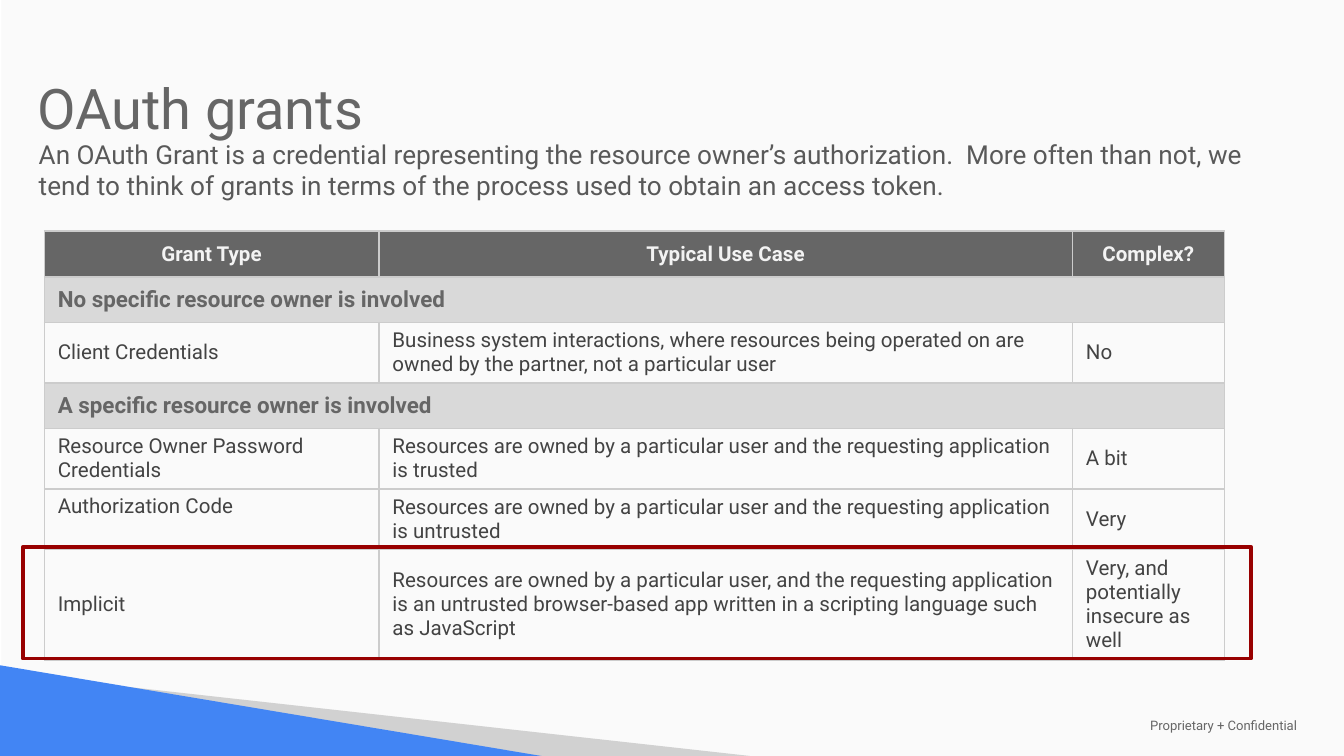
from lxml import etree
from pptx import Presentation
from pptx import util as u
from pptx.dml.color import RGBColor
from pptx.enum import shapes, text
from pptx.oxml.ns import qn

MID, TOP, LOW = text.MSO_ANCHOR.MIDDLE, text.MSO_ANCHOR.TOP, text.MSO_ANCHOR.BOTTOM
LEFT, CENTER = text.PP_ALIGN.LEFT, text.PP_ALIGN.CENTER


def tint(code):
    return RGBColor.from_string(code)


class Deck:
    font = "Roboto"
    gray = "666666"
    dark = "434343"
    rule = "CCCCCC"
    cols, rows = 100, 56.25

    def __init__(self):
        self.prs = Presentation()
        self.prs.slide_width = u.Inches(10)
        self.prs.slide_height = u.Inches(5.625)
        self.slide = self.prs.slides.add_slide(self.prs.slide_layouts[6])

    def col(self, n):
        return round(self.prs.slide_width * n / self.cols)

    def row(self, n):
        return round(self.prs.slide_height * n / self.rows)

    def area(self, x, y, w, h):
        return self.col(x), self.row(y), self.col(w), self.row(h)

    def paint(self, shape, fill=None, line=None):
        shape.shadow.inherit = False
        if fill:
            shape.fill.solid()
            shape.fill.fore_color.rgb = tint(fill)
        else:
            shape.fill.background()
        if line:
            shape.line.color.rgb = tint(line)
            shape.line.width = u.Pt(2)
        else:
            shape.line.fill.background()

    def rect(self, box, fill=None, line=None):
        kind = shapes.MSO_SHAPE.RECTANGLE
        self.paint(self.slide.shapes.add_shape(kind, *self.area(*box)), fill, line)

    def wedge(self, dots, fill):
        pts = [(self.col(x), self.row(y)) for x, y in dots]
        pen = self.slide.shapes.build_freeform(*pts[0])
        pen.add_line_segments(pts[1:], close=True)
        self.paint(pen.convert_to_shape(), fill)

    def words(self, frame, copy, size, color, bold=False, align=LEFT, space=1):
        frame.word_wrap = True
        para = frame.paragraphs[0]
        para.alignment = align
        para.line_spacing = space
        run = para.add_run()
        run.text = copy
        run.font.name = self.font
        run.font.size = u.Pt(size)
        run.font.bold = bold
        run.font.color.rgb = tint(color)

    def label(self, box, copy, size, color, anchor=TOP, space=1):
        frame = self.slide.shapes.add_textbox(*self.area(*box)).text_frame
        frame.margin_left = frame.margin_right = self.col(1)
        frame.margin_top = frame.margin_bottom = self.row(1)
        frame.vertical_anchor = anchor
        self.words(frame, copy, size, color, space=space)

    def edge(self, cell):
        props = cell._tc.get_or_add_tcPr()
        for spot, side in enumerate(("lnL", "lnR", "lnT", "lnB")):
            line = etree.Element(qn(f"a:{side}"), w=str(u.Pt(1)))
            fill = etree.SubElement(line, qn("a:solidFill"))
            etree.SubElement(fill, qn("a:srgbClr"), val=self.rule)
            props.insert(spot, line)

    def cell(self, cell, copy, fill=None, anchor=MID, **style):
        cell.margin_left = cell.margin_right = self.col(1)
        cell.margin_top = cell.margin_bottom = self.row(0.4)
        cell.vertical_anchor = anchor
        if fill:
            cell.fill.solid()
            cell.fill.fore_color.rgb = tint(fill)
        else:
            cell.fill.background()
        self.edge(cell)
        if copy:
            self.words(cell.text_frame, copy, **style)

    def table(self, x, y, wide, tall, data):
        box = self.area(x, y, sum(wide), sum(tall))
        grid = self.slide.shapes.add_table(len(tall), len(wide), *box).table
        grid.first_row = grid.horz_banding = False
        for part, n in zip(grid.columns, wide):
            part.width = self.col(n)
        for part, n in zip(grid.rows, tall):
            part.height = self.row(n)
        for r, line in enumerate(data):
            if len(line) == 1:
                grid.cell(r, 0).merge(grid.cell(r, len(wide) - 1))
                style = dict(fill="D9D9D9", size=12, color=self.gray, bold=True)
            elif r == 0:
                style = dict(fill=self.gray, size=11, color="F3F3F3", bold=True, align=CENTER)
            else:
                style = dict(size=11, color=self.dark)
            for c in range(len(wide)):
                copy = line[c] if c < len(line) else ""
                anchor = TOP if copy == "Authorization Code" else MID
                self.cell(grid.cell(r, c), copy, anchor=anchor, **style)


def main():
    deck = Deck()
    deck.rect((0.1, 0, 100, 56.25), "FAFAFA")
    deck.wedge([(8.5, 51), (55.8, 56.25), (40.1, 56.25)], "D1D1D1")
    deck.wedge([(0, 49.5), (0, 56.25), (40.3, 56.25)], "4285F4")
    deck.label((84.6, 53.3, 14.9, 1.4), "Proprietary + Confidential", 7, deck.gray, MID)
    deck.label((1.8, 3.2, 72.3, 8.3), "OAuth grants", 30, deck.gray, LOW, 1.15)
    deck.label(
        (1.9, 9.3, 93, 7.2),
        "An OAuth Grant is a credential representing the resource owner’s authorization.  "
        "More often than not, we tend to think of grants in terms of the process used to "
        "obtain an access token.",
        14, "595959",
    )
    owned = "Resources are owned by a particular user and the requesting application is "
    deck.table(3.3, 17.2, [24.9, 51.6, 11.3], [3.4, 3.4, 4.5, 3.4, 4.5, 4.5, 8.2], [
        ["Grant Type", "Typical Use Case", "Complex?"],
        ["No specific resource owner is involved"],
        ["Client Credentials",
         "Business system interactions, where resources being operated on are "
         "owned by the partner, not a particular user", "No"],
        ["A specific resource owner is involved"],
        ["Resource Owner Password Credentials", owned + "trusted", "A bit"],
        ["Authorization Code", owned + "untrusted", "Very"],
        ["Implicit",
         "Resources are owned by a particular user, and the requesting application is an "
         "untrusted browser-based app written in a scripting language such as JavaScript",
         "Very, and potentially insecure as well"],
    ])
    deck.rect((1.7, 40.7, 91.4, 8.3), line="980000")
    deck.prs.save("out.pptx")


if __name__ == "__main__":
    main()
